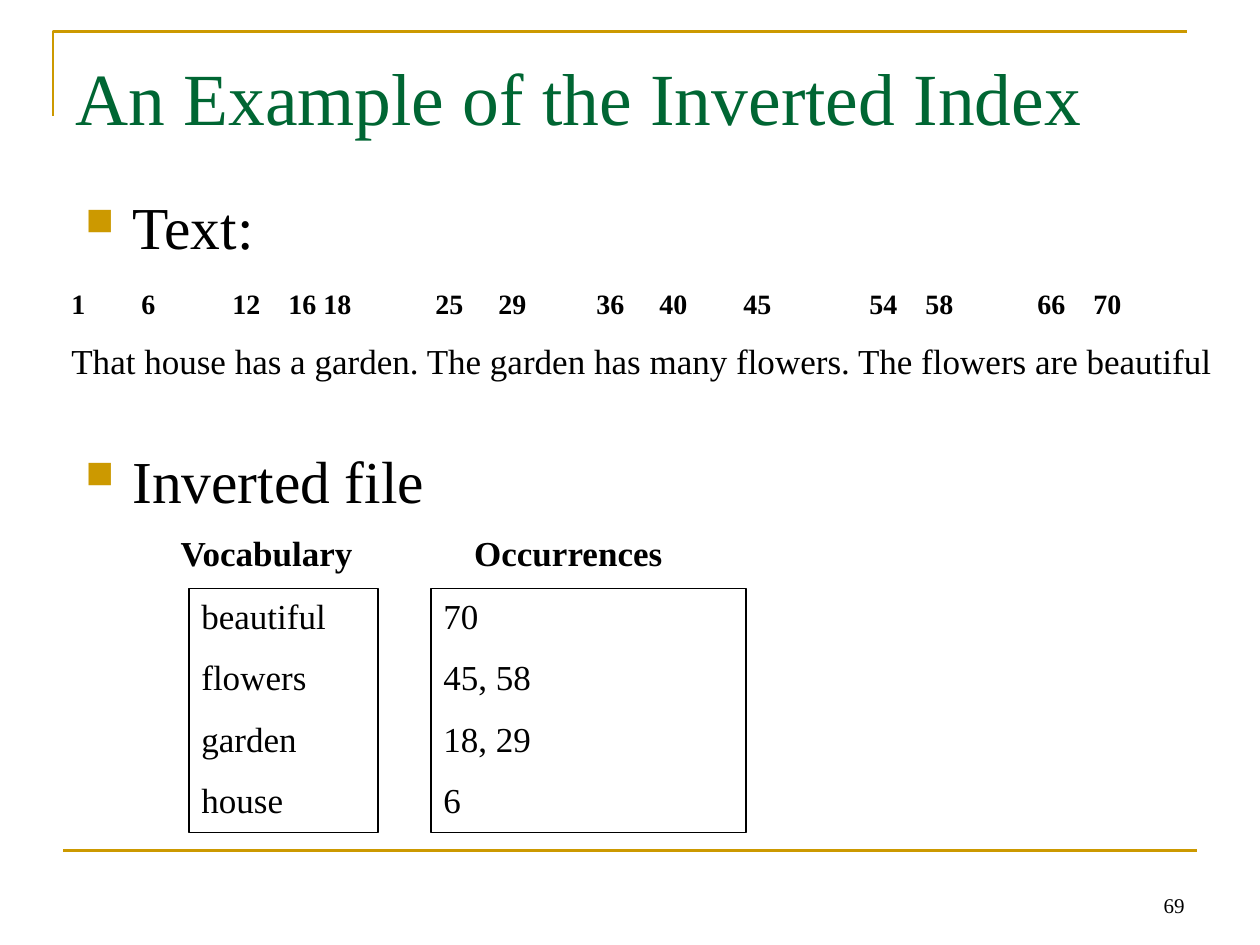
from dataclasses import dataclass

from lxml.etree import SubElement
from pptx import Presentation
from pptx.dml.color import RGBColor
from pptx.enum.shapes import MSO_CONNECTOR, MSO_SHAPE
from pptx.enum.text import MSO_ANCHOR, PP_ALIGN
from pptx.oxml.ns import qn
from pptx.util import Cm, Pt


@dataclass(frozen=True)
class Theme:
    font: str = "Times New Roman"
    title_color: str = "006633"
    ink: str = "000000"
    accent: str = "CC9900"
    title: int = 42
    heading: int = 34
    body: int = 20
    offsets: int = 16
    page: int = 12
    row_gap: int = 11


THEME = Theme()

SENTENCE = ("That house has a garden. The garden has many flowers. "
            "The flowers are beautiful")
# Word offset -> tab stop, counted in steps of one quarter of the type size
OFFSET_STOPS = {1: 0, 6: 10, 12: 23, 16: 31, 18: 36, 25: 52, 29: 61,
                36: 75, 40: 84, 45: 96, 54: 114, 58: 122, 66: 138, 70: 146}
INVERTED_FILE = {"beautiful": "70", "flowers": "45, 58",
                 "garden": "18, 29", "house": "6"}


def apply_format(target, values):
    for attribute, value in values.items():
        setattr(target, attribute, value)


def write(paragraph, text, size, color=THEME.ink, bold=False, **layout):
    """Add one styled run and lay out its paragraph."""
    run = paragraph.add_run()
    run.text = text
    apply_format(run.font, {"name": THEME.font, "size": Pt(size), "bold": bold})
    run.font.color.rgb = RGBColor.from_string(color)
    apply_format(paragraph, layout)


def text_frame_at(slide, left, top, width, height, **frame_format):
    frame = slide.shapes.add_textbox(
        Cm(left), Cm(top), Cm(width), Cm(height)).text_frame
    apply_format(frame, {"word_wrap": True, **frame_format})
    return frame


def add_label(slide, text, box, size, color=THEME.ink, bold=False,
              align=PP_ALIGN.LEFT, **frame_format):
    frame = text_frame_at(slide, *box, **frame_format)
    write(frame.paragraphs[0], text, size, color, bold, alignment=align)


def style_line(line, color, width):
    line.color.rgb = RGBColor.from_string(color)
    line.width = Pt(width)


def add_rules(slide):
    """Corner line above the title and straight line above the footer."""
    builder = slide.shapes.build_freeform(Cm(1.07), Cm(2.33))
    builder.add_line_segments([(Cm(1.07), Cm(0.64)), (Cm(23.93), Cm(0.64))],
                              close=False)
    corner = builder.convert_to_shape()
    corner.fill.background()
    corner.shadow.inherit = False

    footer = slide.shapes.add_connector(
        MSO_CONNECTOR.STRAIGHT, Cm(1.27), Cm(17.15), Cm(24.13), Cm(17.15))
    SubElement(footer._element.spPr, qn("a:effectLst"))
    for rule in (corner, footer):
        style_line(rule.line, THEME.accent, 1.5)


def add_bullet(paragraph):
    properties = paragraph._p.get_or_add_pPr()
    indent = Cm(0.95)
    properties.set("marL", str(indent))
    properties.set("indent", str(-indent))
    color = SubElement(properties, qn("a:buClr"))
    SubElement(color, qn("a:srgbClr"), val=THEME.accent)
    SubElement(properties, qn("a:buSzPct"), val="65000")
    SubElement(properties, qn("a:buChar"), char="■")


def add_headings(slide, first, second, gap):
    frame = text_frame_at(slide, 1.47, 3.61, 22.66, 14.17, margin_top=Cm(0.23))
    write(frame.paragraphs[0], first, THEME.heading)
    write(frame.add_paragraph(), second, THEME.heading, space_before=Pt(gap))
    for paragraph in frame.paragraphs:
        add_bullet(paragraph)


def add_indexed_sentence(slide):
    """Word offsets on tab stops, with the sentence below them."""
    frame = text_frame_at(slide, 1.19, 5.66, 27.31, 2.24)
    offsets = frame.paragraphs[0]
    write(offsets, "\t".join(map(str, OFFSET_STOPS)), THEME.offsets, bold=True)
    tabs = SubElement(offsets._p.get_or_add_pPr(), qn("a:tabLst"))
    for step in list(OFFSET_STOPS.values())[1:]:
        position = Pt(step * THEME.offsets / 4)
        SubElement(tabs, qn("a:tab"), pos=str(position), algn="l")
    write(frame.add_paragraph(), SENTENCE, THEME.body,
          space_before=Pt(THEME.row_gap))


def add_index_column(slide, left, width, entries):
    column = slide.shapes.add_shape(
        MSO_SHAPE.RECTANGLE, Cm(left), Cm(11.86), Cm(width), Cm(4.93))
    column.shadow.inherit = False
    column.fill.background()
    style_line(column.line, THEME.ink, 0.75)
    frame = column.text_frame
    frame.vertical_anchor = MSO_ANCHOR.TOP
    for row, entry in enumerate(entries):
        paragraph = frame.add_paragraph() if row else frame.paragraphs[0]
        write(paragraph, entry, THEME.body, alignment=PP_ALIGN.LEFT,
              space_before=Pt(THEME.row_gap if row else 0))


def main():
    presentation = Presentation()
    apply_format(presentation, {"slide_width": Cm(25.4),
                                "slide_height": Cm(19.05)})
    slide = presentation.slides.add_slide(presentation.slide_layouts[6])

    # Frame and title
    add_rules(slide)
    add_label(slide, "An Example of the Inverted Index",
              (1.27, 0.76, 22.86, 3.18), THEME.title, THEME.title_color,
              margin_top=Cm(0.28))

    # Text with word offsets
    add_headings(slide, "Text:", "Inverted file", gap=104)
    add_indexed_sentence(slide)

    # Inverted file
    add_index_column(slide, 3.81, 3.81, INVERTED_FILE.keys())
    add_index_column(slide, 8.69, 6.35, INVERTED_FILE.values())
    add_label(slide, "Vocabulary", (3.39, 10.58, 4.23, 1.1),
              THEME.body, bold=True)
    add_label(slide, "Occurrences", (9.31, 10.58, 5.08, 1.1),
              THEME.body, bold=True)

    # Page number
    add_label(slide, "69", (18.2, 17.36, 5.93, 1.27), THEME.page,
              align=PP_ALIGN.RIGHT, vertical_anchor=MSO_ANCHOR.BOTTOM)

    presentation.save("out.pptx")


if __name__ == "__main__":
    main()
